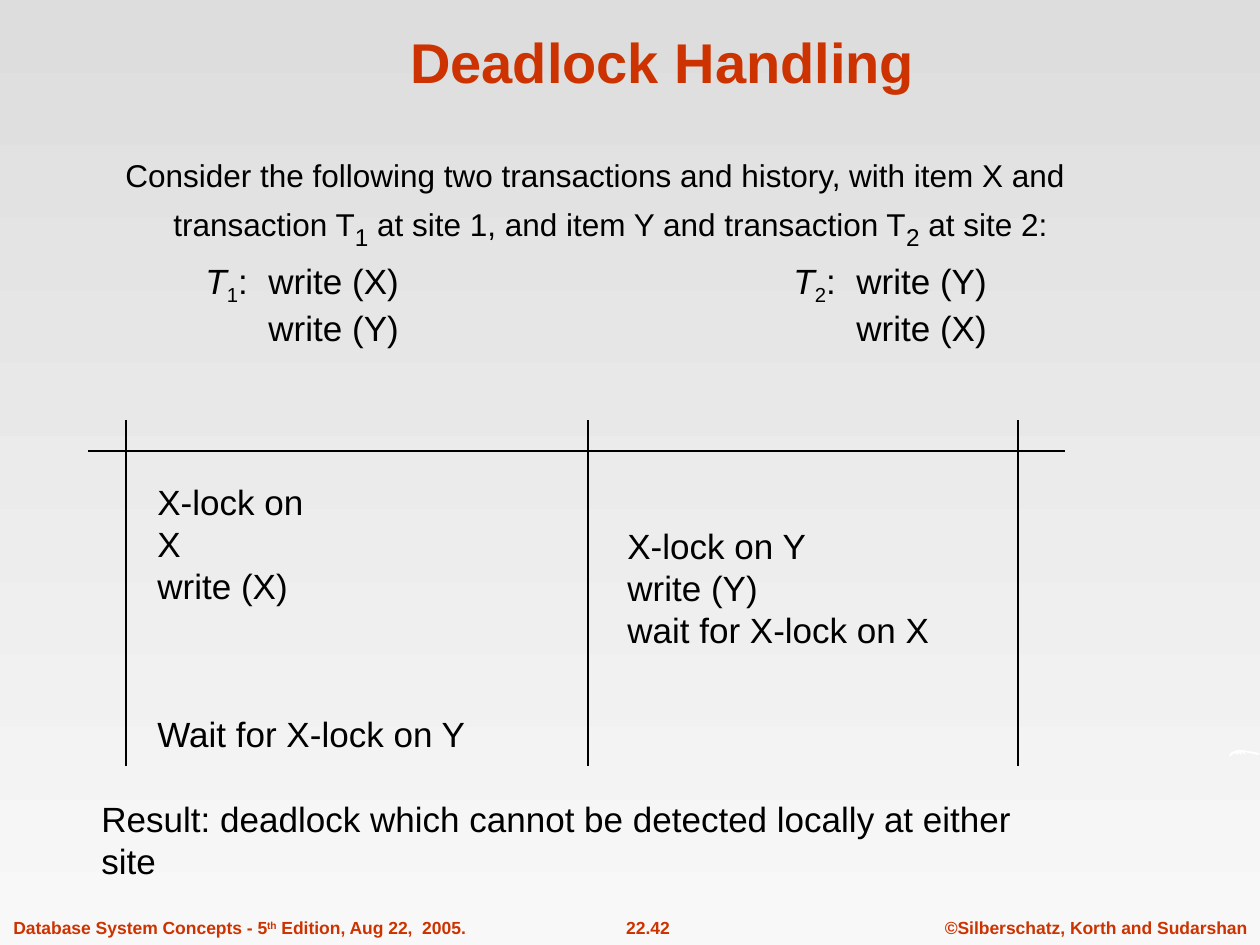
import dataclasses

import lxml.etree
import pptx
import pptx.dml.color
import pptx.enum.shapes
import pptx.enum.text
import pptx.oxml.ns
import pptx.util

PX = 914400 / 126
ALIGN = pptx.enum.text.PP_ALIGN
ANCHOR = pptx.enum.text.MSO_ANCHOR


def color(code):
    return pptx.dml.color.RGBColor.from_string(code)


@dataclasses.dataclass(frozen=True)
class Theme:
    font: str = "Arial"
    accent: str = "CC3300"
    ink: str = "000000"
    swoosh: str = "FFFFFF"
    top: str = "DDDDDD"
    bottom: str = "F8F8F8"
    title: int = 32
    subscript: int = 24
    text: int = 20
    intro: int = 18
    footer: int = 10
    rule: float = 0.75


THEME = Theme()


def emu(*lengths):
    return [pptx.util.Emu(round(length * PX)) for length in lengths]


def add_text(page, box, lines, size, ink=THEME.ink, bold=False, align=ALIGN.LEFT,
             anchor=ANCHOR.TOP, wrap=False):
    """Each line is a list of (text, options); options are size, italic and baseline."""
    frame = page.shapes.add_textbox(*emu(*box)).text_frame
    frame.word_wrap = wrap
    frame.vertical_anchor = anchor
    for index, line in enumerate(lines):
        para = frame.add_paragraph() if index else frame.paragraphs[0]
        para.alignment = align
        for text, options in line:
            span = para.add_run()
            span.text = text
            span.font.name = THEME.font
            span.font.size = pptx.util.Pt(options.get("size", size))
            span.font.bold = bold
            span.font.italic = options.get("italic", False)
            span.font.color.rgb = color(ink)
            if "baseline" in options:
                properties = span.font._element
                properties.set("baseline", str(options["baseline"] * 1000))
    return frame


def plain(*lines):
    return [[(line, {})] for line in lines]


def add_rule(page, start, end):
    rule = page.shapes.add_connector(
        pptx.enum.shapes.MSO_CONNECTOR.STRAIGHT, *emu(*start, *end))
    rule.line.color.rgb = color(THEME.ink)
    rule.line.width = pptx.util.Pt(THEME.rule)
    lxml.etree.SubElement(rule._element.spPr, pptx.oxml.ns.qn("a:effectLst"))


def add_background(page):
    fill = page.background.fill
    fill.gradient()
    fill.gradient_angle = 270
    for stop, code in zip(fill.gradient_stops, (THEME.top, THEME.bottom)):
        stop.color.rgb = color(code)


def add_swoosh(page, left, top):
    outline = [(0, 7), (1, 4), (3, 2), (6, 1), (9, 0), (14, 0), (19, 1), (25, 2),
               (29, 3), (31, 4), (29, 5), (25, 4), (20, 3), (16, 2), (16, 5),
               (13, 2), (12, 5), (9, 2), (9, 5), (6, 3), (3, 5)]
    points = [(left + x, top + y) for x, y in outline]
    builder = page.shapes.build_freeform(*points[0], scale=PX)
    builder.add_line_segments(points[1:], close=True)
    swoosh = builder.convert_to_shape()
    swoosh.shadow.inherit = False
    swoosh.fill.solid()
    swoosh.fill.fore_color.rgb = color(THEME.swoosh)
    swoosh.line.fill.background()


def add_footer(page, left, top, height):
    edition = [[("Database System Concepts - 5", {}), ("th", {"baseline": 30}),
                (" Edition, Aug 22,  2005.", {})]]
    parts = [
        (0, 478, edition, ALIGN.LEFT),
        (580, 134, plain("22.42"), ALIGN.CENTER),
        (931, 328, plain("©Silberschatz, Korth and Sudarshan"), ALIGN.CENTER),
    ]
    for offset, width, lines, align in parts:
        add_text(page, (left + offset, top, width, height), lines, THEME.footer,
                 THEME.accent, bold=True, align=align)


def add_title(page, box):
    add_text(page, box, plain("Deadlock Handling"), THEME.title, THEME.accent,
             bold=True, align=ALIGN.CENTER, anchor=ANCHOR.BOTTOM, wrap=True)


def add_intro(page, box):
    lowered = {"size": THEME.subscript, "baseline": -25}
    line = [("Consider the following two transactions and history, "
             "with item X and transaction T", {}), ("1", lowered),
            (" at site 1, and item Y and transaction T", {}), ("2", lowered),
            (" at site 2:", {})]
    frame = add_text(page, box, [line], THEME.intro, wrap=True)
    hanging, = emu(48)
    properties = frame.paragraphs[0]._p.get_or_add_pPr()
    properties.set("marL", str(hanging))
    properties.set("indent", str(-hanging))


def add_transaction(page, box, number, first, second):
    lines = [[("T", {"italic": True}), (number, {"baseline": -25}),
              (f":\twrite ({first})", {})],
             [(f"\twrite ({second})", {})]]
    add_text(page, box, lines, THEME.text)


def add_history(page, left, top, width, height):
    """The two-column schedule: rules first, then the steps at each site."""
    for x in (38, 500, 930):
        add_rule(page, (left + x, top), (left + x, top + height))
    add_rule(page, (left, top + 31), (left + width, top + 31))
    steps = [
        (57, 54, 204, 97, ("X-lock on X", "write (X)")),
        (527, 98, 328, 139, ("X-lock on Y", "write (Y)", "wait for X-lock on X")),
        (57, 286, 335, 55, ("Wait for X-lock on Y",)),
    ]
    for x, y, step_width, step_height, lines in steps:
        add_text(page, (left + x, top + y, step_width, step_height),
                 plain(*lines), THEME.text)


def add_result(page, box):
    add_text(page, box,
             plain("Result: deadlock which cannot be detected locally at either site"),
             THEME.text)


def main():
    deck = pptx.Presentation()
    deck.slide_width, deck.slide_height = emu(1260, 945)
    page = deck.slides.add_slide(deck.slide_layouts[6])
    add_background(page)
    add_footer(page, 1, 911, 34)
    add_swoosh(page, 1229, 750)
    add_title(page, (106, 16, 1113, 85))
    add_intro(page, (113, 150, 1091, 106))
    add_transaction(page, (193, 253, 281, 103), "1", "X", "Y")
    add_transaction(page, (781, 253, 281, 103), "2", "Y", "X")
    add_history(page, 88, 420, 977, 346)
    add_result(page, (89, 791, 999, 55))
    deck.save("out.pptx")


if __name__ == "__main__":
    main()
